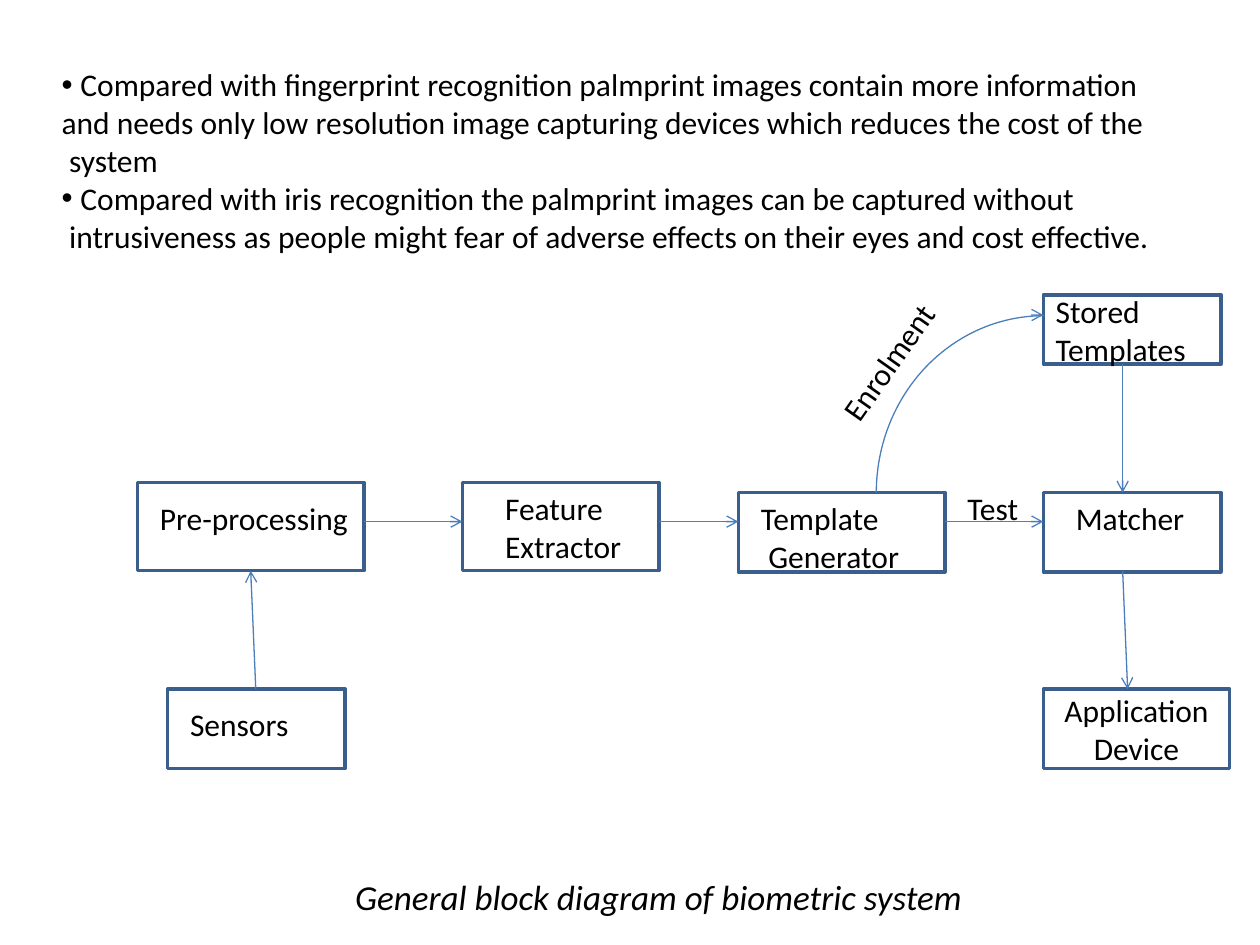
from lxml.etree import SubElement
from pptx import Presentation
from pptx.dml.color import RGBColor
from pptx.enum.shapes import MSO_CONNECTOR, MSO_SHAPE
from pptx.enum.text import MSO_ANCHOR, MSO_AUTO_SIZE, PP_ALIGN
from pptx.oxml.ns import qn
from pptx.util import Inches, Pt

BLACK = RGBColor(0x00, 0x00, 0x00)
BOX_BLUE = RGBColor(0x3A, 0x5F, 0x8C)
ARROW_BLUE = RGBColor(0x4B, 0x7E, 0xBC)

BODY_FONT = {"name": "Calibri", "size": Pt(18)}
CAPTION_FONT = {"name": "Calibri", "size": Pt(20), "italic": True}

SPACE = 0.06  # slight inset of continuation lines
HANG = 0.15   # hanging indent of bulleted lines

# Lines of the introduction: text, indent, bulleted
INTRO = [
    ("Compared with fingerprint recognition palmprint images contain more information", HANG, True),
    ("and needs only low resolution image capturing devices which reduces the cost of the", 0, False),
    ("system", SPACE, False),
    ("Compared with iris recognition the palmprint images can be captured without", HANG, True),
    ("intrusiveness as people might fear of adverse effects on their eyes and cost effective.", SPACE, False),
]

# Rows and columns shared by the blocks
MAIN_BOTTOM, FLOW_Y = 4.53, 4.14
LOWER_TOP, RIGHT_LEFT = 5.47, 8.28

BLOCKS = [
    (1.09, 3.83, 1.8, 0.7),            # pre-processing
    (1.33, LOWER_TOP, 1.41, 0.63),     # sensors
    (3.67, 3.83, 1.56, 0.7),           # feature extractor
    (5.86, 3.91, 1.64, 0.63),          # template generator
    (RIGHT_LEFT, 3.91, 1.41, 0.63),    # matcher
    (RIGHT_LEFT, 2.34, 1.41, 0.55),    # stored templates
]

# Labels: lines with indent, position, wrapping, rotation
LABELS = [
    ([("Pre-processing", 0)], (1.17, 3.91, 1.71, 0.4), False, 0),
    ([("Sensors", 0)], (1.41, 5.55, 1.02, 0.4), True, 0),
    ([("Feature", 0), ("Extractor", 0)], (3.91, 3.83, 1.25, 1.01), True, 0),
    ([("Template", 0), ("Generator", SPACE)], (5.94, 3.91, 1.3, 0.71), True, 0),
    ([("Stored", 0), ("Templates", 0)], (RIGHT_LEFT, 2.27, 1.41, 1.01), True, 0),
    ([("Matcher", 0)], (8.44, 3.91, 1.07, 0.4), False, 0),
    ([("Test", 0)], (7.58, 3.83, 0.84, 0.4), True, 0),
    ([("Enrolment", 0)], (6.39, 2.62, 1.39, 0.4), True, 305.1),
]

ARROWS = [
    (2.03, LOWER_TOP, 1.99, MAIN_BOTTOM),      # sensors to pre-processing
    (2.89, FLOW_Y, 3.67, FLOW_Y),              # to feature extractor
    (5.23, FLOW_Y, 5.86, FLOW_Y),              # to template generator
    (7.5, FLOW_Y, RIGHT_LEFT, FLOW_Y),         # to matcher
    (8.91, 2.89, 8.91, 3.91),                  # stored templates to matcher
    (8.91, MAIN_BOTTOM, 8.95, LOWER_TOP),      # matcher to application device
    (8.2, 2.5, RIGHT_LEFT, 2.5),               # end of the enrolment arc
]


def inches(values):
    return [Inches(value) for value in values]


def style_line(line, color, width):
    line.color.rgb = color
    line.width = Pt(width)


def write_line(paragraph, text, font=BODY_FONT, indent=0, bulleted=False):
    run = paragraph.add_run()
    run.text = text
    for attribute, value in font.items():
        setattr(run.font, attribute, value)
    run.font.color.rgb = BLACK
    properties = paragraph._p.get_or_add_pPr()
    properties.set("marL", str(Inches(indent)))
    properties.set("indent", str(-Inches(indent) if bulleted else 0))
    if bulleted:
        SubElement(properties, qn("a:buFont")).set("typeface", "Arial")
        SubElement(properties, qn("a:buChar")).set("char", "•")


def add_text(slide, lines, place, wrap=True, rotation=0, font=BODY_FONT):
    label = slide.shapes.add_textbox(*inches(place))
    label.rotation = rotation
    frame = label.text_frame
    frame.word_wrap = wrap
    frame.auto_size = MSO_AUTO_SIZE.NONE if wrap else MSO_AUTO_SIZE.SHAPE_TO_FIT_TEXT
    for index, (text, *layout) in enumerate(lines):
        paragraph = frame.add_paragraph() if index else frame.paragraphs[0]
        write_line(paragraph, text, font, *layout)


def add_outline(slide, kind, place, color, width):
    outline = slide.shapes.add_shape(kind, *inches(place))
    outline.shadow.inherit = False
    outline.fill.background()
    style_line(outline.line, color, width)
    return outline


def add_block(slide, place):
    return add_outline(slide, MSO_SHAPE.RECTANGLE, place, BOX_BLUE, 2)


def add_application_block(slide):
    block = add_block(slide, (RIGHT_LEFT, LOWER_TOP, 1.48, 0.63))
    frame = block.text_frame
    frame.word_wrap = True
    frame.vertical_anchor = MSO_ANCHOR.MIDDLE
    for paragraph, text in ((frame.paragraphs[0], "Application"),
                            (frame.add_paragraph(), "Device")):
        paragraph.alignment = PP_ALIGN.CENTER
        write_line(paragraph, text)


def add_arrow(slide, ends):
    arrow = slide.shapes.add_connector(MSO_CONNECTOR.STRAIGHT, *inches(ends))
    style_line(arrow.line, ARROW_BLUE, 0.75)
    SubElement(arrow.line._get_or_add_ln(), qn("a:tailEnd")).set("type", "arrow")
    SubElement(arrow._element.spPr, qn("a:effectLst"))


def main():
    presentation = Presentation()
    presentation.slide_width, presentation.slide_height = Inches(10), Inches(7.5)
    slide = presentation.slides.add_slide(presentation.slide_layouts[6])

    # Introduction
    add_text(slide, INTRO, (0.39, 0.47, 9.38, 3.13))

    # Blocks and their labels
    for place in BLOCKS:
        add_block(slide, place)
    add_application_block(slide)
    for label in LABELS:
        add_text(slide, *label)

    # Flow between the blocks
    for ends in ARROWS:
        add_arrow(slide, ends)
    enrolment_arc = add_outline(slide, MSO_SHAPE.ARC, (6.88, 2.58, 2.81, 2.66), ARROW_BLUE, 0.75)
    enrolment_arc.rotation = 270

    # Caption
    add_text(slide, [("General block diagram of biometric system",)],
             (2.72, 6.9, 5.06, 0.44), wrap=False, font=CAPTION_FONT)

    presentation.save("out.pptx")


if __name__ == "__main__":
    main()
